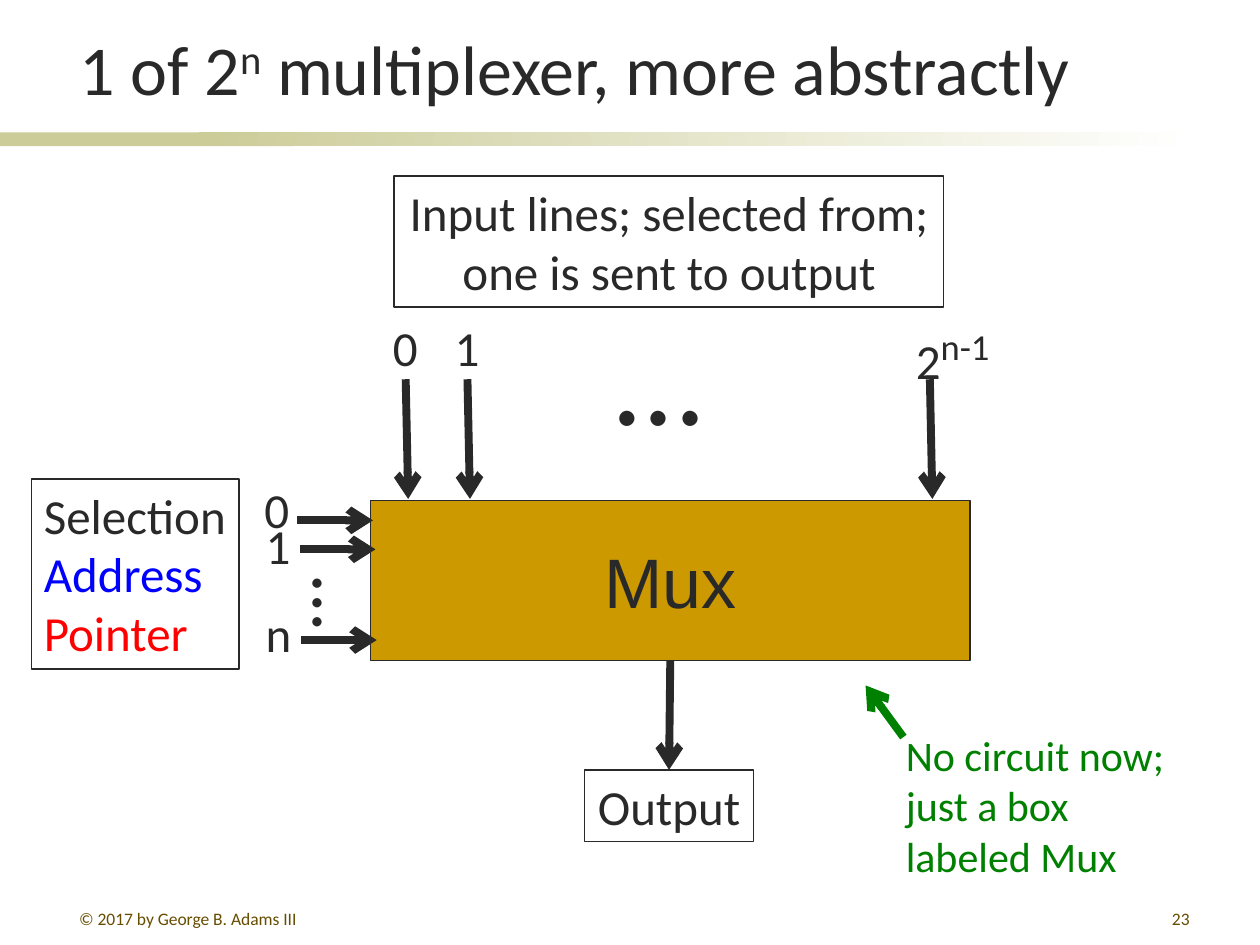
import pptx
import pptx.util
import pptx.dml.color
import pptx.enum.shapes
import pptx.enum.text
import pptx.oxml
from pptx.util import Inches

COLORS = {"ink": "292929", "footer": "664D00", "band": "CCCC99", "white": "FFFFFF",
          "mux": "CC9900", "blue": "0000FF", "red": "FF0000", "green": "008000"}
RGB = {name: pptx.dml.color.RGBColor.from_string(code) for name, code in COLORS.items()}
ALIGN = pptx.enum.text.PP_ALIGN
ANCHOR = pptx.enum.text.MSO_ANCHOR
RECTANGLE = pptx.enum.shapes.MSO_SHAPE.RECTANGLE
STRAIGHT = pptx.enum.shapes.MSO_CONNECTOR.STRAIGHT


def write(shape, text, size, color="ink", align=ALIGN.LEFT, anchor=ANCHOR.TOP,
          wrap=False, font="Calibri"):
    frame = shape.text_frame
    frame.text = text
    frame.word_wrap = wrap
    frame.auto_size = pptx.enum.text.MSO_AUTO_SIZE.NONE
    frame.vertical_anchor = anchor
    para = frame.paragraphs[0]
    para.alignment = align
    for span in para.runs:
        span.font.size = pptx.util.Pt(size)
        span.font.name = font
        span.font.color.rgb = RGB[color]


def add_span(shape, text, size, color="ink", raised=False):
    """Append a run to the first paragraph, as a superscript if raised."""
    span = shape.text_frame.paragraphs[0].add_run()
    span.text = text
    span.font.size = pptx.util.Pt(size)
    span.font.name = "Calibri"
    span.font.color.rgb = RGB[color]
    if raised:
        span.font._element.set("baseline", "30000")


deck = pptx.Presentation()
deck.slide_width, deck.slide_height = Inches(10), Inches(7.5)
page = deck.slides.add_slide(deck.slide_layouts[5])
shapes = page.shapes

# Band under the title: a solid start, then a fade to white
for left, width in [(0, 2.33), (1.58, 7.92)]:
    band = shapes.add_shape(RECTANGLE, Inches(left), Inches(1.05), Inches(width), Inches(0.11))
    band.shadow.inherit = False
    band.line.fill.background()
    if left == 0:
        band.fill.solid()
        band.fill.fore_color.rgb = RGB["band"]
    else:
        band.fill.gradient()
        band.fill.gradient_angle = 0
        for stop, name, place in zip(band.fill.gradient_stops, ("band", "white"), (0, 1)):
            stop.color.rgb = RGB[name]
            stop.position = place

title = shapes.title
title.left, title.top, title.width, title.height = (
    Inches(0.53), Inches(0.11), Inches(9.01), Inches(0.81))
write(title, "1 of 2", 40, anchor=ANCHOR.BOTTOM, wrap=True)
add_span(title, "n", 40, raised=True)
add_span(title, " multiplexer, more abstractly", 40)

# Footer
for text, left, width, align in [("© 2017 by George B. Adams III", 0.53, 2.17, ALIGN.LEFT),
                                 ("23", 7.46, 2.08, ALIGN.RIGHT)]:
    footer = shapes.add_textbox(Inches(left), Inches(7.16), Inches(width), Inches(0.21))
    write(footer, text, 10, "footer", align, wrap=True)

# Outlined boxes
boxes = {}
for text, left, top, width, height, align in [
        ("Mux", 2.94, 3.97, 4.76, 1.27, ALIGN.CENTER),
        ("Input lines; selected from;\vone is sent to output", 3.13, 1.4, 4.36, 1.04, ALIGN.CENTER),
        ("Output", 4.64, 6.11, 1.34, 0.57, ALIGN.CENTER),
        ("Selection ", 0.25, 3.8, 1.65, 1.51, ALIGN.LEFT)]:
    box = shapes.add_shape(RECTANGLE, Inches(left), Inches(top), Inches(width), Inches(height))
    box.shadow.inherit = False
    box.fill.background()
    box.line.color.rgb = RGB["ink"]
    box.line.width = pptx.util.Pt(1)
    write(box, text, 28, align=align, wrap=text == "Selection ")
    boxes[text] = box

mux, output, selection = boxes["Mux"], boxes["Output"], boxes["Selection "]
mux.fill.solid()
mux.fill.fore_color.rgb = RGB["mux"]
mux.line.width = pptx.util.Pt(0.75)
write(mux, "Mux", 40, align=ALIGN.CENTER, anchor=ANCHOR.MIDDLE, font="Arial")
add_span(selection, "Address ", 28, "blue")
add_span(selection, "Pointer", 28, "red")

# Line labels, ellipses and the remark
for text, size, left, top, width, height in [
        ("0", 28, 3.02, 2.47, 0.4, 0.57),
        ("1", 28, 3.51, 2.47, 0.4, 0.57),
        ("2", 28, 7.17, 2.46, 0.85, 0.57),
        ("…", 72, 4.79, 2.33, 1.04, 1.31),
        ("0", 28, 2, 3.76, 0.4, 0.57),
        ("1", 28, 2.01, 4.04, 0.4, 0.57),
        ("n", 28, 2.01, 4.74, 0.41, 0.57),
        ("…", 44, 1.95, 4.31, 0.72, 0.84)]:
    label = shapes.add_textbox(Inches(left), Inches(top), Inches(width), Inches(height))
    write(label, text, size)
    if text == "2":
        add_span(label, "n-1", 36, raised=True)
    if size == 44:
        label.rotation = 270

remark = shapes.add_textbox(Inches(7.09), Inches(5.74), Inches(2.32), Inches(1.31))
write(remark, "No circuit now; just a box labeled Mux", 24, "green", wrap=True)

# Arrows: inputs, selection lines, output, remark
arrows = [(left, 3.01, left + 0.02, 3.96, "ink") for left in (3.22, 3.71, 7.38)]
arrows += [(left, top, left + 0.6, top, "ink")
           for left, top in [(2.36, 4.13), (2.38, 4.36), (2.39, 5.08)]]
arrows += [(5.32, 5.24, 5.31, 6.11, "ink"), (7.17, 5.85, 6.87, 5.44, "green")]
for x1, y1, x2, y2, color in arrows:
    arrow = shapes.add_connector(STRAIGHT, Inches(x1), Inches(y1), Inches(x2), Inches(y2))
    arrow.line.color.rgb = RGB[color]
    arrow.line.width = pptx.util.Pt(4.5)
    head = pptx.oxml.parse_xml(
        '<a:tailEnd xmlns:a="http://schemas.openxmlformats.org/drawingml/2006/main" type="arrow"/>')
    arrow.line._get_or_add_ln().append(head)
    effects = pptx.oxml.parse_xml(
        '<a:effectLst xmlns:a="http://schemas.openxmlformats.org/drawingml/2006/main"/>')
    arrow._element.spPr.append(effects)
    if y2 == 6.11:
        arrow.begin_connect(mux, 2)
        arrow.end_connect(output, 0)

deck.save("out.pptx")
